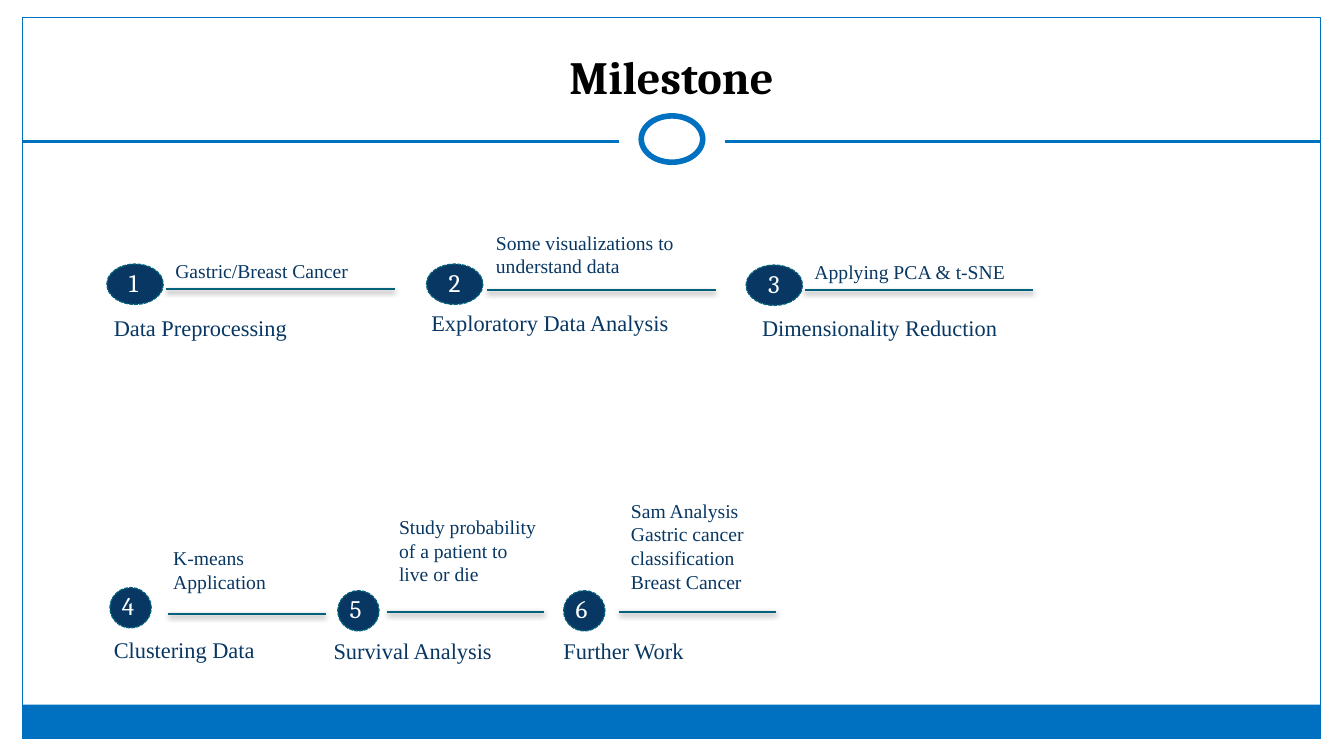
"""Build the Milestone slide: six numbered project steps in two rows."""
from lxml import etree
from pptx import Presentation
from pptx.dml.color import RGBColor
from pptx.enum.dml import MSO_LINE
from pptx.enum.shapes import MSO_CONNECTOR as CONN, MSO_SHAPE as SHAPE
from pptx.enum.text import MSO_ANCHOR as ANCHOR, PP_ALIGN as ALIGN
from pptx.oxml.ns import qn
from pptx.util import Inches, Pt

COLORS = {"blue": "0070C0", "navy": "083763", "teal": "04617B",
          "white": "FFFFFF", "black": "000000"}
SERIF, HEADING = "Times New Roman", "Cambria"

WIDE = {"oval": 0.56, "number_dx": 0.12, "number_w": 0.32, "line": 2.27}
NARROW = {"oval": 0.41, "number_dx": 0.02, "number_w": 0.3, "line": 1.56}

MILESTONES = [
    (WIDE, "1", (1.06, 2.62), (1.65, 2.87),
     ["Gastric/Breast Cancer"], (1.64, 2.52, 2.02, 0.34),
     "Data Preprocessing", (1.03, 3.07, 2.88)),
    (WIDE, "2", (4.23, 2.62), (4.83, 2.88),
     ["Some visualizations to understand data"], (4.82, 2.24, 2.27, 0.57),
     "Exploratory Data Analysis", (4.18, 3.02, 2.79)),
    (WIDE, "3", (7.4, 2.63), (7.98, 2.88),
     ["Applying PCA & t-SNE"], (7.98, 2.53, 2.27, 0.34),
     "Dimensionality Reduction", (7.46, 3.07, 2.7)),
    (NARROW, "4", (1.09, 5.83), (1.67, 6.09),
     ["K-means Application"], (1.62, 5.37, 1.56, 0.57),
     "Clustering Data", (1.03, 6.26, 1.92)),
    (NARROW, "5", (3.35, 5.86), (3.84, 6.07),
     ["Study probability of a patient to live or die"], (3.86, 5.06, 1.56, 0.81),
     "Survival Analysis", (3.21, 6.27, 1.92)),
    (NARROW, "6", (5.59, 5.86), (6.14, 6.07),
     ["Sam Analysis", "Gastric cancer classification", "Breast Cancer"],
     (6.16, 4.9, 1.56, 1.04),
     "Further Work", (5.49, 6.27, 1.92)),
]


def rgb(name):
    return RGBColor.from_string(COLORS[name])


def add_shape(shapes, kind, box, fill=None, line=None, width=1):
    sp = shapes.add_shape(kind, *map(Inches, box))
    sp.shadow.inherit = False
    if fill:
        sp.fill.solid()
        sp.fill.fore_color.rgb = rgb(fill)
    else:
        sp.fill.background()
    if line:
        sp.line.color.rgb = rgb(line)
        sp.line.width = Pt(width)
    else:
        sp.line.fill.background()
    return sp


def add_text(shapes, lines, box, size, font, color, bold=False,
             align=ALIGN.LEFT, anchor=ANCHOR.TOP):
    tf = shapes.add_textbox(*map(Inches, box)).text_frame
    tf.word_wrap = True
    tf.vertical_anchor = anchor
    tf.text = "\n".join(lines)
    for p in tf.paragraphs:
        p.alignment = align
        f = p.runs[0].font
        f.size, f.name, f.bold = Pt(size), font, bold
        f.color.rgb = rgb(color)


def add_line(shapes, x, y, length, color, width, shadow=False):
    cxn = shapes.add_connector(CONN.STRAIGHT, Inches(x), Inches(y),
                               Inches(x + length), Inches(y))
    cxn.line.color.rgb = rgb(color)
    cxn.line.width = Pt(width)
    effects = etree.SubElement(cxn._element.spPr, qn("a:effectLst"))
    if shadow:
        outer = etree.SubElement(effects, qn("a:outerShdw"), blurRad=str(Pt(4)),
                                 dist=str(Pt(2)), dir="5400000", rotWithShape="0")
        clr = etree.SubElement(outer, qn("a:srgbClr"), val=COLORS["black"])
        etree.SubElement(clr, qn("a:alpha"), val="45000")


def add_frame(shapes):
    add_line(shapes, 0.22, 1.4, 12.88, "blue", 2)
    add_shape(shapes, SHAPE.OVAL, (6.14, 1, 1.05, 0.79), "white")
    add_shape(shapes, SHAPE.RECTANGLE, (0.22, 6.99, 12.88, 0.34), "blue")
    add_shape(shapes, SHAPE.RECTANGLE, (0.22, 0.17, 12.88, 7.16), None, "blue", 0.75)
    add_shape(shapes, SHAPE.OVAL, (6.36, 1.15, 0.61, 0.46), "white", "blue", 4)


def add_badge(shapes, style, number, x, y):
    badge = shapes.add_group_shape().shapes
    oval = add_shape(badge, SHAPE.OVAL, (x, y, style["oval"], 0.4), "navy", "teal", 0.9)
    oval.line.dash_style = MSO_LINE.SQUARE_DOT
    add_text(badge, [number], (x + style["number_dx"], y - 0.02, style["number_w"], 0.4),
             18, HEADING, "white")


def add_milestone(shapes, style, number, badge_at, line_at, notes, notes_box, name, name_at):
    add_line(shapes, *line_at, style["line"], "teal", 1.57, shadow=True)
    add_text(shapes, [name], (*name_at, 0.37), 16, SERIF, "navy")
    add_text(shapes, notes, notes_box, 14, SERIF, "navy")
    add_badge(shapes, style, number, *badge_at)


def main():
    prs = Presentation()
    prs.slide_width, prs.slide_height = Inches(13.33), Inches(7.5)
    s = prs.slides.add_slide(prs.slide_layouts[6])
    add_frame(s.shapes)
    add_text(s.shapes, ["Milestone"], (0.44, 0.25, 12.44, 0.83), 33, HEADING, "black",
             bold=True, align=ALIGN.CENTER, anchor=ANCHOR.BOTTOM)
    for milestone in MILESTONES:
        add_milestone(s.shapes, *milestone)
    prs.save("out.pptx")


if __name__ == "__main__":
    main()
